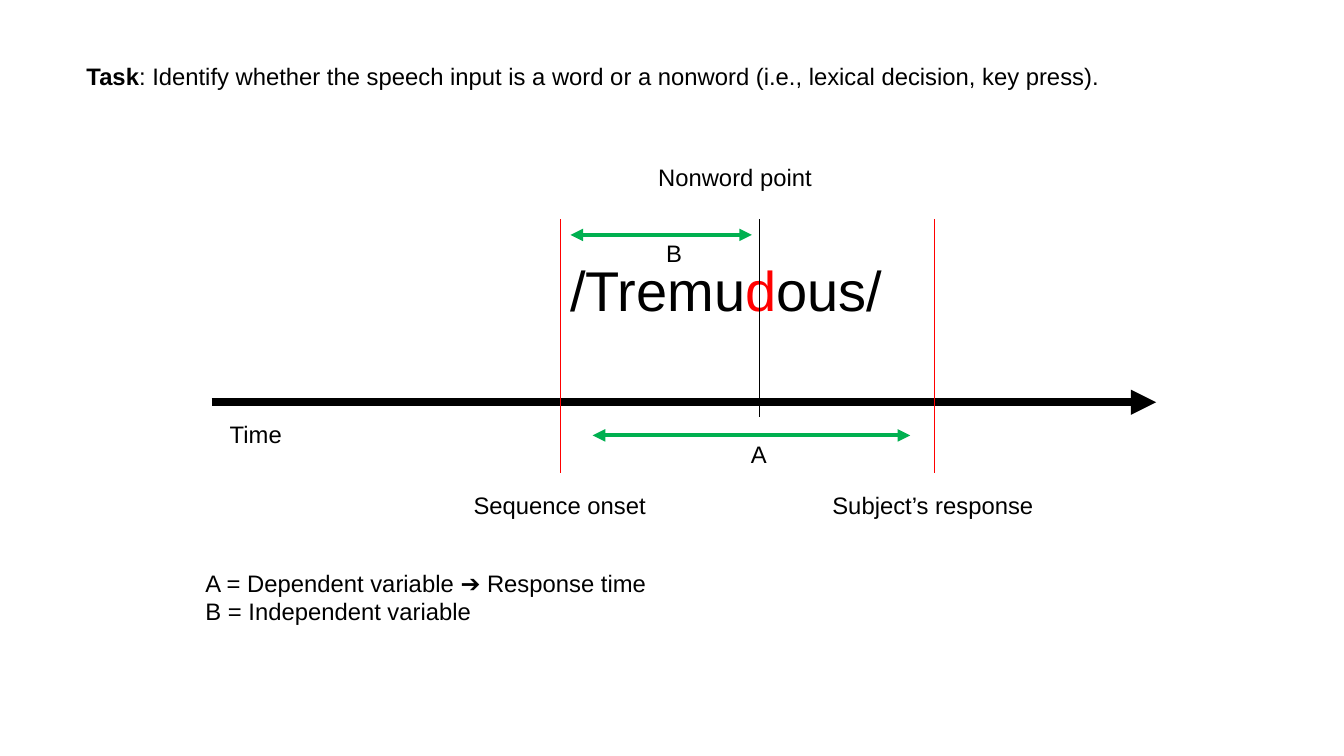
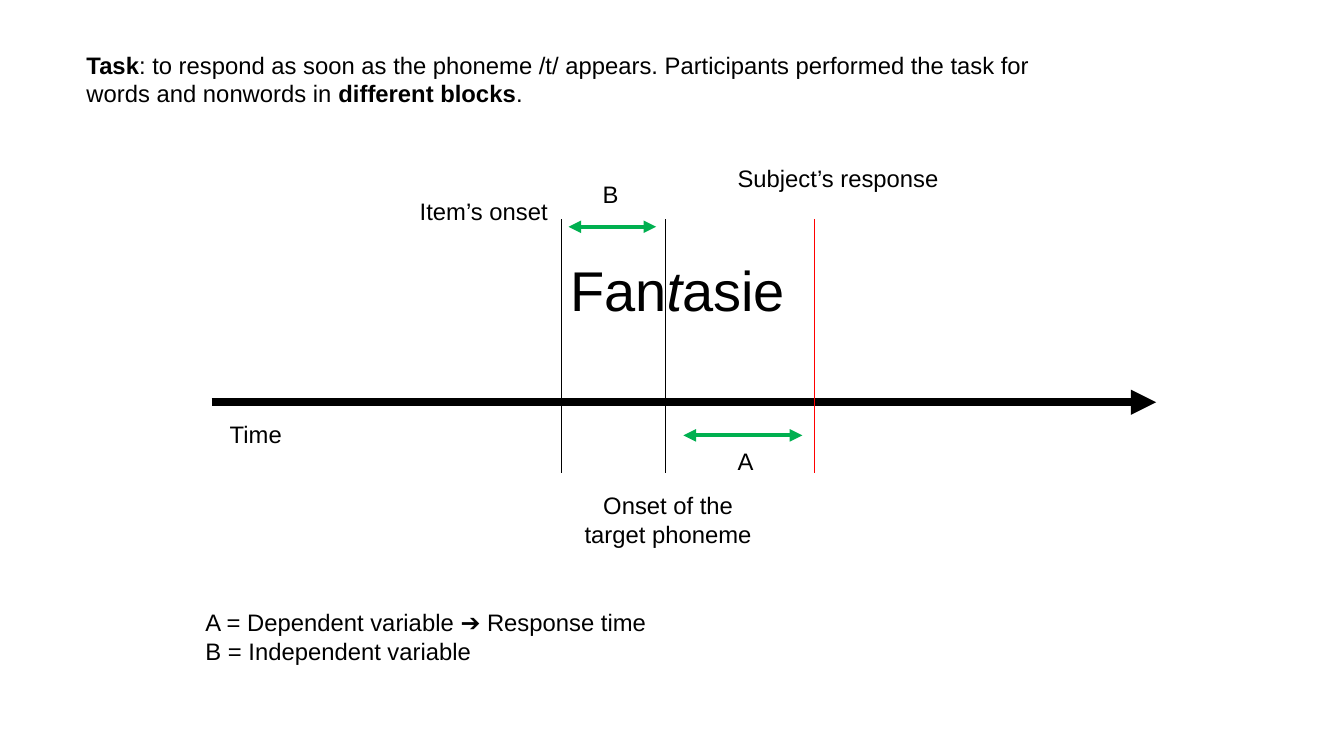
from dataclasses import dataclass

import lxml.etree
import pptx
import pptx.dml.color
import pptx.enum.shapes
import pptx.enum.text
import pptx.oxml.ns
import pptx.util

Pt = pptx.util.Pt
RGBColor = pptx.dml.color.RGBColor
Align = pptx.enum.text.PP_ALIGN
qn = pptx.oxml.ns.qn


@dataclass(frozen=True)
class Theme:
    font: str = "Arial"
    black: str = "000000"
    red: str = "FF0000"
    green: str = "00B050"
    label_size: float = 17
    word_size: float = 40
    axis_width: float = 6
    span_width: float = 3
    marker_width: float = 0.75


THEME = Theme()
LINE_HEIGHT = 28
TWO_LINES = 48
AXIS_Y = 287.3
MARKER_TOP, MARKER_BOTTOM = 156.5, 337.7


def add_text(slide, box, paragraphs, size=THEME.label_size, wrap=False, align=Align.LEFT):
    """Each paragraph is a list of (text, font settings) runs."""
    shape = slide.shapes.add_textbox(*map(Pt, box))
    frame = shape.text_frame
    frame.word_wrap = wrap
    frame.auto_size = pptx.enum.text.MSO_AUTO_SIZE.SHAPE_TO_FIT_TEXT
    for index, runs in enumerate(paragraphs):
        paragraph = frame.add_paragraph() if index else frame.paragraphs[0]
        paragraph.alignment = align
        for text, settings in runs:
            run = paragraph.add_run()
            run.text = text
            run.font.name = THEME.font
            run.font.size = Pt(size)
            run.font.bold = settings.get("bold", False)
            run.font.italic = settings.get("italic", False)
            run.font.color.rgb = RGBColor.from_string(settings.get("color", THEME.black))


def add_line(slide, start, end, color, width, arrowheads=()):
    connector = slide.shapes.add_connector(
        pptx.enum.shapes.MSO_CONNECTOR.STRAIGHT, *map(Pt, (*start, *end)))
    connector.line.color.rgb = RGBColor.from_string(color)
    connector.line.width = Pt(width)
    outline = connector.line._get_or_add_ln()
    for arrowhead in arrowheads:
        lxml.etree.SubElement(outline, qn(f"a:{arrowhead}"), type="triangle")
    lxml.etree.SubElement(connector._element.spPr, qn("a:effectLst"))


BOLD = {"bold": True}

# Boxes are (left, top, width, height); markers are (x, bottom, color);
# spans are (left, right, y); labels are (text, box, wrapped and centred).
timelines = [
    {
        "task": [("Task", BOLD),
                 (": Identify whether the speech input is a word or a nonword "
                  "(i.e., lexical decision, key press).", {})],
        "task_box": (54.7, 40.3, 740, LINE_HEIGHT),
        "task_wraps": False,
        "word": [("/Tremu", {}), ("d", {"color": THEME.red}), ("ous/", {})],
        "markers": [(400.3, MARKER_BOTTOM, THEME.red),
                    (542.2, 298.1, THEME.black),
                    (667.4, MARKER_BOTTOM, THEME.red)],
        "spans": [(423.4, 650.2, 311), (407.5, 537.1, 167.8)],
        "labels": [("Sequence onset", (331.2, 347, 139, LINE_HEIGHT), False),
                   ("Subject’s response", (587.5, 347, 160, LINE_HEIGHT), False),
                   ("Nonword point", (463, 113, 125.3, LINE_HEIGHT), False),
                   ("A", (529.2, 310.3, 26, LINE_HEIGHT), False),
                   ("B", (468.7, 167, 26, LINE_HEIGHT), False)],
        "legend_top": 402.5,
    },
    {
        "task": [("Task", BOLD),
                 (": to respond as soon as the phoneme /t/ appears. Participants "
                  "performed the task for words and nonwords in ", {}),
                 ("different blocks", BOLD), (".", {})],
        "task_box": (54.7, 32.4, 720, TWO_LINES),
        "task_wraps": True,
        "word": [("Fan", {}), ("t", {"italic": True}), ("asie", {})],
        "markers": [(401, MARKER_BOTTOM, THEME.black),
                    (475.2, MARKER_BOTTOM, THEME.black),
                    (581.8, MARKER_BOTTOM, THEME.red)],
        "spans": [(488.2, 573.1, 311), (406.1, 468.7, 162)],
        "labels": [("Onset of the target phoneme", (401, 347, 152.6, TWO_LINES), True),
                   ("Subject’s response", (519.8, 113.4, 160, LINE_HEIGHT), False),
                   ("A", (519.8, 315.2, 26, LINE_HEIGHT), False),
                   ("B", (423.4, 124.6, 26, LINE_HEIGHT), False),
                   ("Item’s onset", (269.3, 136.8, 152.6, LINE_HEIGHT), True)],
        "legend_top": 430.5,
    },
]

presentation = pptx.Presentation()
presentation.slide_width = Pt(960)
presentation.slide_height = Pt(540)
blank_layout = presentation.slide_layouts[6]

for timeline in timelines:
    slide = presentation.slides.add_slide(blank_layout)
    add_text(slide, timeline["task_box"], [timeline["task"]], wrap=timeline["task_wraps"])
    add_text(slide, (400.3, 179.3, 480, 55.4), [timeline["word"]],
             size=THEME.word_size, wrap=True)
    add_line(slide, (151.2, AXIS_Y), (825.8, AXIS_Y), THEME.black, THEME.axis_width,
             ["tailEnd"])
    add_text(slide, (157, 296.6, 52, LINE_HEIGHT), [[("Time", {})]])
    for x, bottom, color in timeline["markers"]:
        add_line(slide, (x, MARKER_TOP), (x, bottom), color, THEME.marker_width)
    for left, right, y in timeline["spans"]:
        add_line(slide, (left, y), (right, y), THEME.green, THEME.span_width,
                 ["headEnd", "tailEnd"])
    for text, box, centred in timeline["labels"]:
        add_text(slide, box, [[(text, {})]], wrap=centred,
                 align=Align.CENTER if centred else Align.LEFT)
    add_text(slide, (139.7, timeline["legend_top"], 336.2, TWO_LINES),
             [[("A = Dependent variable ➔ Response time", {})],
              [("B = Independent variable", {})]])

presentation.save("out.pptx")
